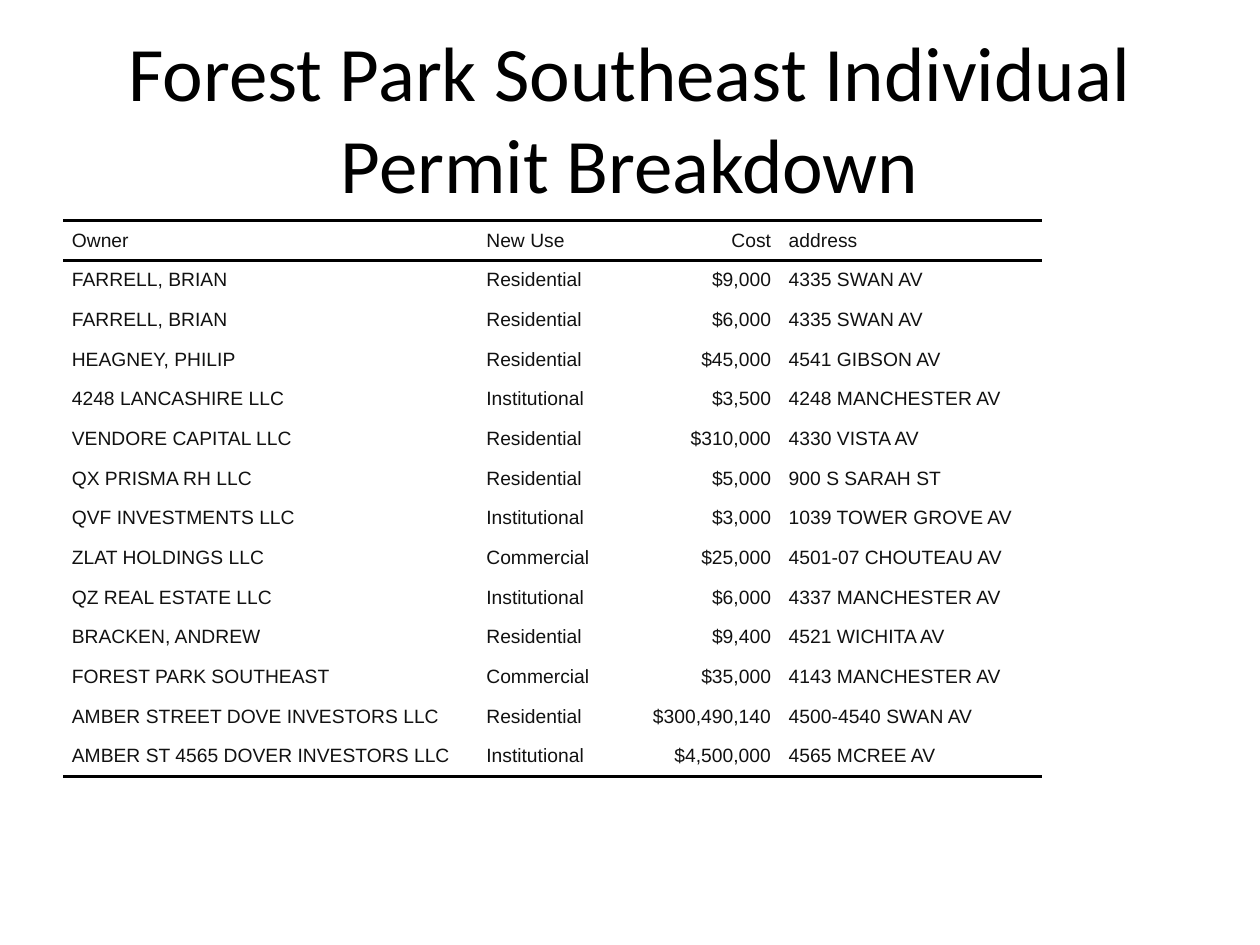
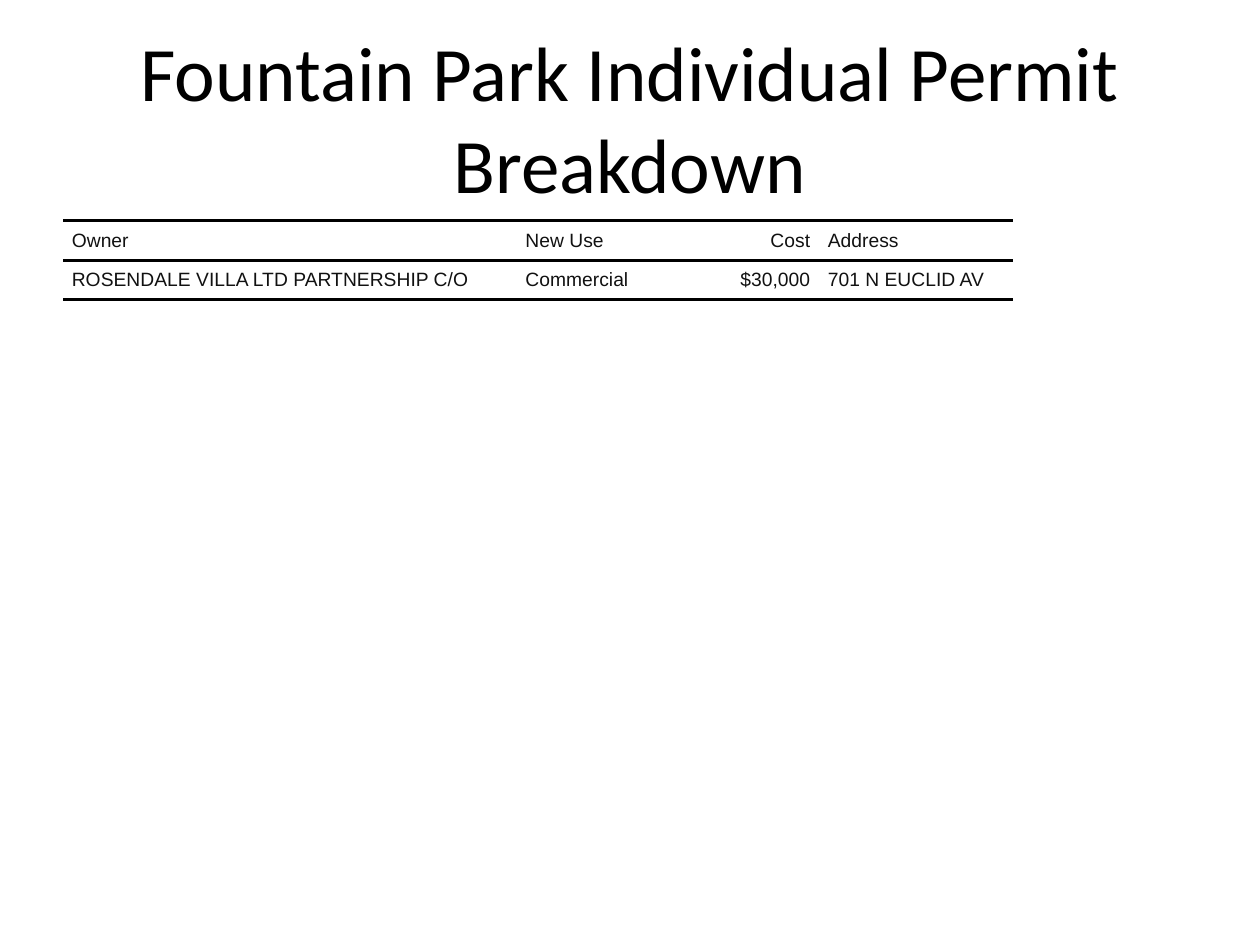
from lxml import etree
from pptx import Presentation
from pptx.dml.color import RGBColor
from pptx.enum.text import MSO_ANCHOR, PP_ALIGN
from pptx.oxml.ns import qn
from pptx.util import Inches, Pt

MIDDLE = MSO_ANCHOR.MIDDLE
LEFT, CENTER, RIGHT = PP_ALIGN.LEFT, PP_ALIGN.CENTER, PP_ALIGN.RIGHT

BLACK, INK = "000000", "111111"
TITLE_FONT, TABLE_FONT = "Calibri", "Arial"
TITLE_BOX = (Inches(0.5), Inches(0.3), Inches(9), Inches(1.25))
TABLE_ORIGIN = (Inches(0.5), Inches(1.75))
ROW_HEIGHT = Inches(0.63) // 2
CELL_INDENT = Inches(0.07)
RULE_WIDTH = Pt(2)
COST_COLUMN = 2

FOREST_PARK_PERMITS = [
    ("Owner", "New Use", "Cost", "address"),
    ("FARRELL, BRIAN", "Residential", "$9,000", "4335 SWAN AV"),
    ("FARRELL, BRIAN", "Residential", "$6,000", "4335 SWAN AV"),
    ("HEAGNEY, PHILIP", "Residential", "$45,000", "4541 GIBSON AV"),
    ("4248 LANCASHIRE LLC", "Institutional", "$3,500", "4248 MANCHESTER AV"),
    ("VENDORE CAPITAL LLC", "Residential", "$310,000", "4330 VISTA AV"),
    ("QX PRISMA RH LLC", "Residential", "$5,000", "900 S SARAH ST"),
    ("QVF INVESTMENTS LLC", "Institutional", "$3,000", "1039 TOWER GROVE AV"),
    ("ZLAT HOLDINGS LLC", "Commercial", "$25,000", "4501-07 CHOUTEAU AV"),
    ("QZ REAL ESTATE LLC", "Institutional", "$6,000", "4337 MANCHESTER AV"),
    ("BRACKEN, ANDREW", "Residential", "$9,400", "4521 WICHITA AV"),
    ("FOREST PARK SOUTHEAST", "Commercial", "$35,000", "4143 MANCHESTER AV"),
    ("AMBER STREET DOVE INVESTORS LLC", "Residential", "$300,490,140", "4500-4540 SWAN AV"),
    ("AMBER ST 4565 DOVER INVESTORS LLC", "Institutional", "$4,500,000", "4565 MCREE AV"),
]
FOUNTAIN_PARK_PERMITS = [
    ("Owner", "New Use", "Cost", "Address"),
    ("ROSENDALE VILLA LTD PARTNERSHIP C/O", "Commercial", "$30,000", "701 N EUCLID AV"),
]
# Title, column widths in inches, permit rows with their header
PERMIT_SLIDES = [
    ("Forest Park Southeast Individual Permit Breakdown",
     (3.29, 1.1, 1.3, 2.08), FOREST_PARK_PERMITS),
    ("Fountain Park Individual Permit Breakdown",
     (3.6, 1.1, 1.3, 1.54), FOUNTAIN_PARK_PERMITS),
]


def color(hex_value):
    return RGBColor.from_string(hex_value)


def style_font(font, name, size, hex_value):
    font.name, font.size, font.bold = name, Pt(size), False
    font.color.rgb = color(hex_value)


def add_title(slide, text, box):
    frame = slide.shapes.add_textbox(*box).text_frame
    frame.word_wrap = True
    frame.vertical_anchor = MIDDLE
    frame.text = text
    paragraph = frame.paragraphs[0]
    paragraph.alignment = CENTER
    style_font(paragraph.runs[0].font, TITLE_FONT, 44, BLACK)


def set_borders(cell, ruled_sides):
    """Draw a rule on the named sides and no line on the others."""
    properties = cell._tc.get_or_add_tcPr()
    for side in ("lnL", "lnR", "lnT", "lnB"):
        line = etree.SubElement(properties, qn(f"a:{side}"))
        if side in ruled_sides:
            line.set("w", str(RULE_WIDTH))
            fill = etree.SubElement(line, qn("a:solidFill"))
            etree.SubElement(fill, qn("a:srgbClr"), val=BLACK)
        else:
            etree.SubElement(line, qn("a:noFill"))


def fill_cell(cell, text, alignment, ruled_sides):
    set_borders(cell, ruled_sides)
    cell.fill.background()
    cell.margin_left = cell.margin_right = cell.margin_top = cell.margin_bottom = 0
    cell.vertical_anchor = MIDDLE
    cell.text = text
    paragraph = cell.text_frame.paragraphs[0]
    paragraph.alignment = alignment
    paragraph.space_before = paragraph.space_after = Pt(2)
    indents = paragraph._p.get_or_add_pPr()
    for margin in ("marL", "marR"):
        indents.set(margin, str(CELL_INDENT))
    style_font(paragraph.runs[0].font, TABLE_FONT, 11, INK)


def add_permit_table(slide, permits, column_widths, origin):
    widths = [Inches(width) for width in column_widths]
    table = slide.shapes.add_table(len(permits), len(widths), *origin, sum(widths),
                                   ROW_HEIGHT * len(permits)).table
    table.first_row = table.horz_banding = False
    for column, width in zip(table.columns, widths):
        column.width = width
    for row_index, permit in enumerate(permits):
        table.rows[row_index].height = ROW_HEIGHT
        # Rules enclose the header and close the table
        ruled_sides = set()
        if row_index <= 1:
            ruled_sides.add("lnT")
        if row_index in (0, len(permits) - 1):
            ruled_sides.add("lnB")
        for column_index, text in enumerate(permit):
            alignment = RIGHT if column_index == COST_COLUMN else LEFT
            fill_cell(table.cell(row_index, column_index), text, alignment, ruled_sides)


def add_permit_slide(presentation, title, column_widths, permits):
    slide = presentation.slides.add_slide(presentation.slide_layouts[6])
    add_title(slide, title, TITLE_BOX)
    add_permit_table(slide, permits, column_widths, TABLE_ORIGIN)


def main():
    presentation = Presentation()
    presentation.slide_width, presentation.slide_height = Inches(10), Inches(7.5)
    for title, column_widths, permits in PERMIT_SLIDES:
        add_permit_slide(presentation, title, column_widths, permits)
    presentation.save("out.pptx")


if __name__ == "__main__":
    main()
